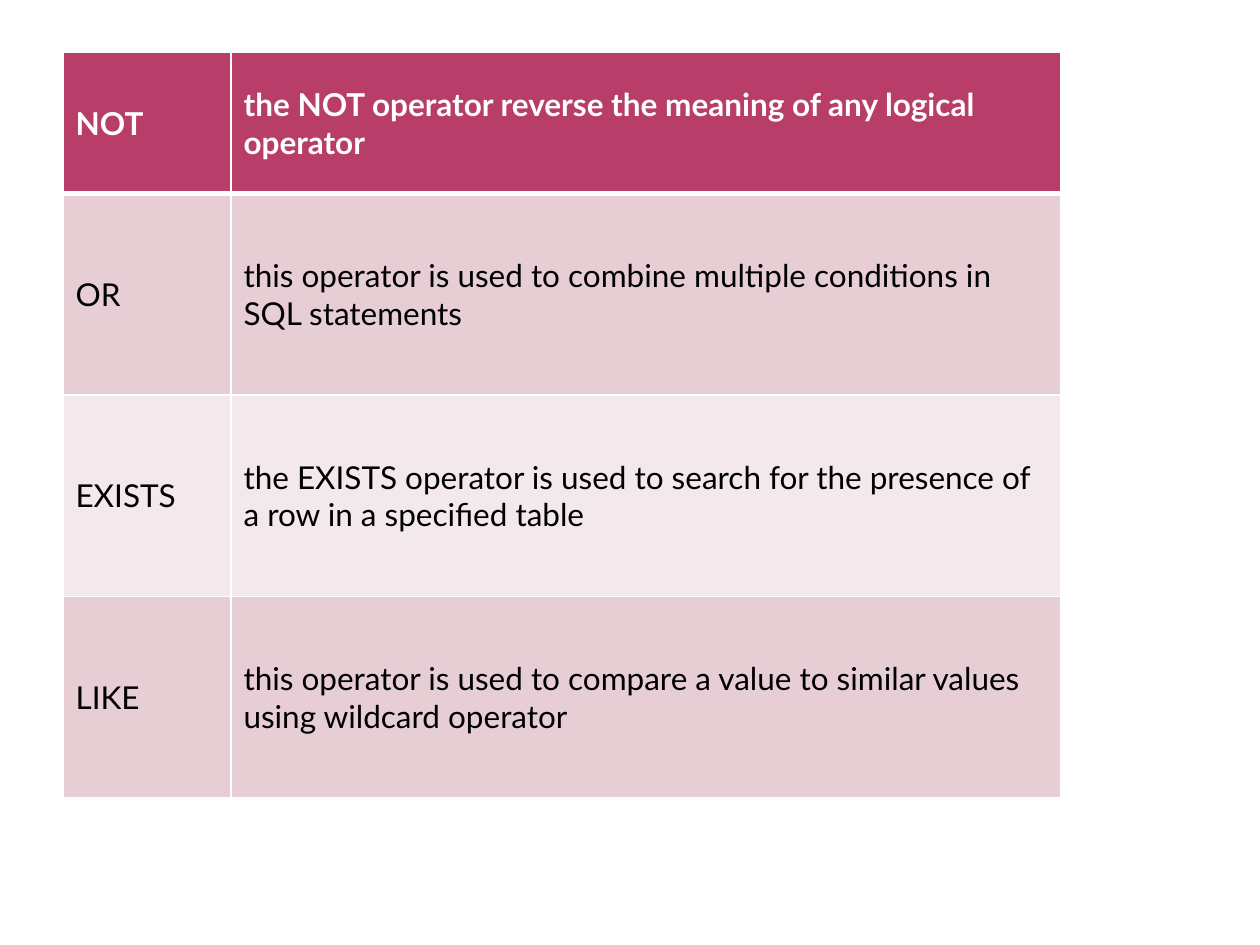
from lxml.etree import SubElement
from pptx import Presentation
from pptx.dml.color import RGBColor
from pptx.enum.text import MSO_ANCHOR
from pptx.oxml.ns import qn
from pptx.util import Pt

WHITE = RGBColor(0xFF, 0xFF, 0xFF)
BLACK = RGBColor(0, 0, 0)
HEADER = RGBColor(0xB8, 0x3D, 0x68)
BAND_DARK = RGBColor(0xE6, 0xCE, 0xD4)
BAND_LIGHT = RGBColor(0xF3, 0xE8, 0xEB)

OPERATORS = [
    ("NOT", "the NOT operator reverse the meaning of any logical operator"),
    ("OR", "this operator is used to combine multiple conditions in SQL statements"),
    ("EXISTS", "the EXISTS operator is used to search for the presence of a row "
               "in a specified table"),
    ("LIKE", "this operator is used to compare a value to similar values "
             "using wildcard operator"),
]


class SlideBuilder:
    font_name = "Lato"
    font_size = 18
    thin, thick = 1, 3

    def __init__(self, slide):
        self.slide = slide

    def table(self, left, top, widths, heights, rows):
        frame = self.slide.shapes.add_table(
            len(rows), len(widths), Pt(left), Pt(top),
            Pt(sum(widths)), Pt(sum(heights)))
        grid = frame.table
        for column, width in zip(grid.columns, widths):
            column.width = Pt(width)
        for row, height in zip(grid.rows, heights):
            row.height = Pt(height)
        for r, texts in enumerate(rows):
            for c, text in enumerate(texts):
                self.cell(grid.cell(r, c), text, r)

    def cell(self, cell, text, row):
        is_header = row == 0
        cell.text = text
        cell.vertical_anchor = MSO_ANCHOR.MIDDLE
        font = cell.text_frame.paragraphs[0].font
        font.name, font.size = self.font_name, Pt(self.font_size)
        font.bold = is_header
        font.color.rgb = WHITE if is_header else BLACK
        # Borders precede the fill in the cell properties
        self.borders(cell, top=self.thick if row == 1 else self.thin,
                     bottom=self.thick if is_header else self.thin)
        cell.fill.solid()
        cell.fill.fore_color.rgb = (
            HEADER if is_header else BAND_DARK if row % 2 else BAND_LIGHT)

    def borders(self, cell, top, bottom):
        properties = cell._tc.get_or_add_tcPr()
        sides = {"L": self.thin, "R": self.thin, "T": top, "B": bottom}
        for side, width in sides.items():
            line = SubElement(properties, qn(f"a:ln{side}"), w=str(Pt(width)))
            fill = SubElement(line, qn("a:solidFill"))
            SubElement(fill, qn("a:srgbClr"), val=str(WHITE))


def main():
    deck = Presentation()
    deck.slide_width, deck.slide_height = Pt(720), Pt(540)
    builder = SlideBuilder(deck.slides.add_slide(deck.slide_layouts[6]))

    # Operators and their meanings
    builder.table(36, 30, widths=[96, 474], heights=[80.5] + [115.2] * 3,
                  rows=OPERATORS)
    deck.save("out.pptx")


if __name__ == "__main__":
    main()
